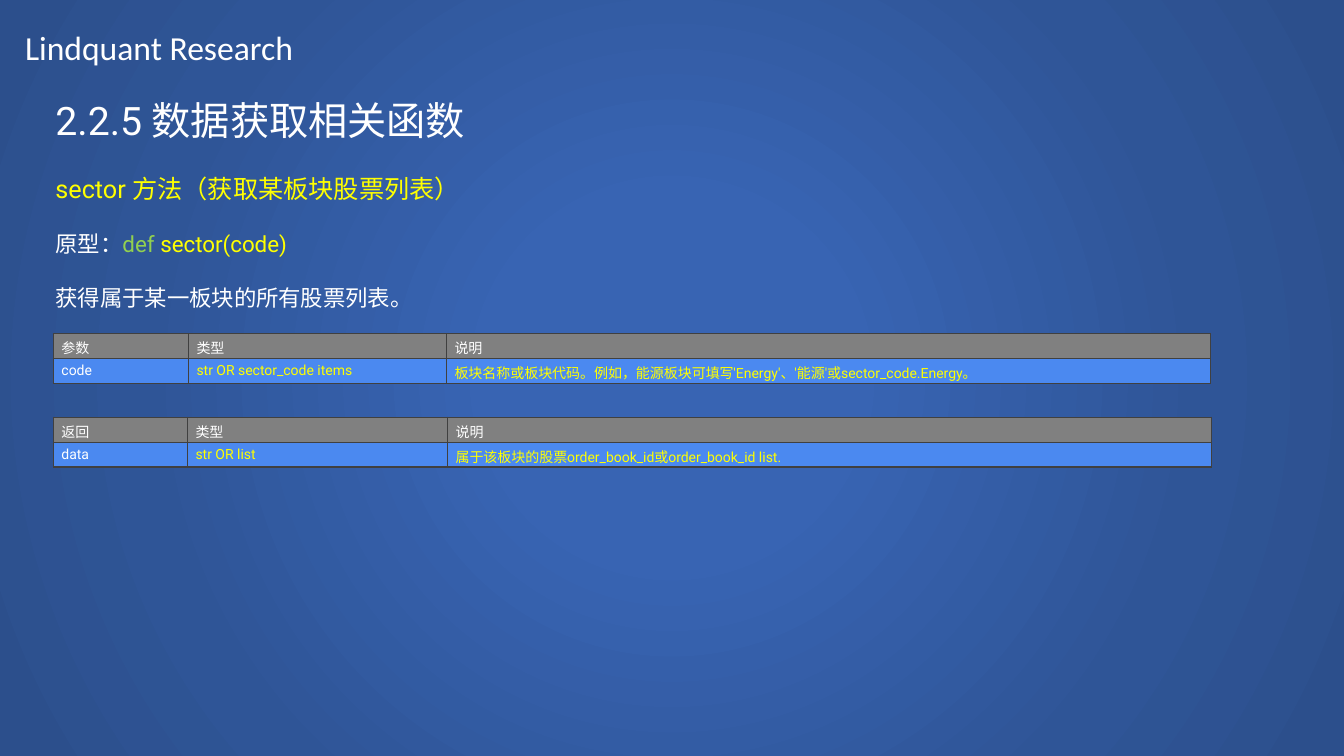
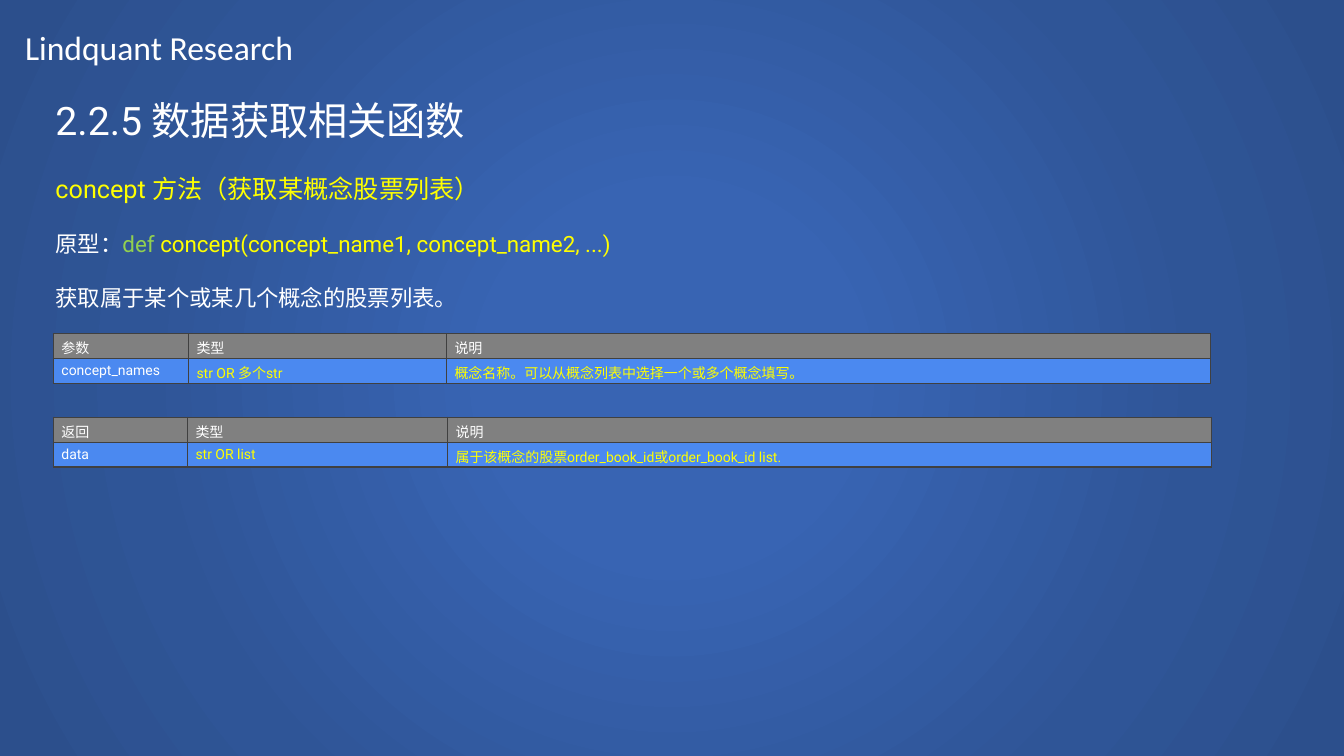
"""Build two reference slides on stock list functions, each with parameter and return tables."""
from lxml.etree import SubElement
from pptx import Presentation
from pptx.dml.color import RGBColor
from pptx.enum.text import MSO_ANCHOR as Anchor, MSO_AUTO_SIZE as AutoSize, PP_ALIGN as Align
from pptx.oxml import parse_xml
from pptx.oxml.ns import nsdecls, qn
from pptx.util import Inches, Pt

WIDTH, HEIGHT = Inches(13.33), Inches(7.5)
COLUMNS, ROWS = 40, 30
COLORS = {
    "text": "FFFFFF", "accent": "FFFF00", "keyword": "92D050",
    "header": "808080", "cell": "4B89F0", "border": "404040",
    "center": "3864B3", "middle": "2F5597", "edge": "2C4F8C",
}
GRADIENT = [(0, "center"), (23, "center"), (69, "middle"), (97, "edge")]
BRAND = "Lindquant Research"
SECTION = "2.2.5 数据获取相关函数"
ROW_HEIGHT = 0.96

TOPICS = [
    {
        "heading": "sector 方法（获取某板块股票列表）",
        "signature": "sector(code)",
        "summary": "获得属于某一板块的所有股票列表。",
        "parameter": ["code", "str OR sector_code items",
                      "板块名称或板块代码。例如，能源板块可填写'Energy'、'能源'或sector_code.Energy。"],
        "result": ["data", "str OR list", "属于该板块的股票order_book_id或order_book_id list."],
    },
    {
        "heading": "concept 方法（获取某概念股票列表）",
        "signature": "concept(concept_name1, concept_name2, ...)",
        "summary": "获取属于某个或某几个概念的股票列表。",
        "parameter": ["concept_names", "str OR 多个str",
                      "概念名称。可以从概念列表中选择一个或多个概念填写。"],
        "result": ["data", "str OR list", "属于该概念的股票order_book_id或order_book_id list."],
    },
]


def across(columns):
    return round(WIDTH * columns / COLUMNS)


def down(rows):
    return round(HEIGHT * rows / ROWS)


def color(name):
    return RGBColor.from_string(COLORS[name])


def place(box, left, top, width, height):
    box.left, box.top = across(left), down(top)
    box.width, box.height = across(width), down(height)


def add_span(para, text, size, shade="text", font="Roboto"):
    span = para.add_run()
    span.text = text
    span.font.size = Pt(size)
    span.font.name = font
    span.font.color.rgb = color(shade)


def set_background(master):
    master.background.fill.gradient()
    old = master.element.find(".//" + qn("a:gradFill"))
    stops = "".join(
        f'<a:gs pos="{share * 1000}"><a:srgbClr val="{COLORS[name]}"/></a:gs>'
        for share, name in GRADIENT)
    old.getparent().replace(old, parse_xml(
        f'<a:gradFill {nsdecls("a")} rotWithShape="1"><a:gsLst>{stops}</a:gsLst>'
        '<a:path path="circle"><a:fillToRect l="50000" t="50000" r="50000" b="50000"/>'
        '</a:path></a:gradFill>'))


def set_layout(layout):
    title, body = layout.placeholders[0], layout.placeholders[1]
    place(title, 1.35, 3.64, 35.32, 2.6)
    place(body, 1.35, 6.68, 35.32, 6.3)
    for box in (title, body):
        box.text_frame.vertical_anchor = Anchor.TOP
        box.text_frame.auto_size = AutoSize.NONE


def add_brand(page):
    box = page.shapes.add_textbox(across(0.45), down(0.88), across(15.12), down(2))
    box.text_frame.word_wrap = True
    add_span(box.text_frame.paragraphs[0], BRAND, 24, font="Calibri")


def fill_title(page):
    para = page.shapes.title.text_frame.paragraphs[0]
    para.alignment = Align.LEFT
    add_span(para, SECTION, 28)


def fill_body(page, topic):
    lines = [
        [(topic["heading"], 18, "accent")],
        [("原型：", 16, "text"), ("def ", 16, "keyword"), (topic["signature"], 16, "accent")],
        [(topic["summary"], 16, "text")],
    ]
    frame = page.placeholders[1].text_frame
    for index, spans in enumerate(lines):
        para = frame.add_paragraph() if index else frame.paragraphs[0]
        properties = para._p.get_or_add_pPr()
        properties.set("marL", "0")
        properties.set("indent", "0")
        SubElement(properties, qn("a:buNone"))
        para.space_before = Pt(19 if index else 0)
        for text, size, shade in spans:
            add_span(para, text, size, shade)


def add_borders(cell):
    properties = cell._tc.get_or_add_tcPr()
    for side in ("lnL", "lnR", "lnT", "lnB"):
        line = SubElement(properties, qn(f"a:{side}"), w=str(Pt(1)))
        SubElement(SubElement(line, qn("a:solidFill")), qn("a:srgbClr"), val=COLORS["border"])


def fill_cell(cell, text, shade, fill):
    add_borders(cell)
    cell.fill.solid()
    cell.fill.fore_color.rgb = color(fill)
    cell.vertical_anchor = Anchor.MIDDLE
    cell.margin_left = cell.margin_right = Inches(0.08)
    cell.margin_top = cell.margin_bottom = Inches(0.04)
    add_span(cell.text_frame.paragraphs[0], text, 10, shade)


def add_reference_table(page, top, widths, first_heading, values):
    rows = [[first_heading, "类型", "说明"], values]
    table = page.shapes.add_table(
        len(rows), len(widths), across(1.59), down(top),
        across(sum(widths)), down(ROW_HEIGHT * len(rows))).table
    table.first_row = table.horz_banding = False
    for column, width in zip(table.columns, widths):
        column.width = across(width)
    for row_index, texts in enumerate(rows):
        for column_index, text in enumerate(texts):
            fill_cell(table.cell(row_index, column_index), text,
                      "accent" if row_index and column_index else "text",
                      "cell" if row_index else "header")


def add_topic(deck, layout, topic):
    page = deck.slides.add_slide(layout)
    fill_title(page)
    fill_body(page, topic)
    add_brand(page)
    add_reference_table(page, 13.24, [4.02, 7.68, 22.75], "参数", topic["parameter"])
    add_reference_table(page, 16.56, [3.99, 7.74, 22.75], "返回", topic["result"])


def main():
    deck = Presentation()
    deck.slide_width, deck.slide_height = WIDTH, HEIGHT
    layout = deck.slide_layouts[1]
    set_background(deck.slide_master)
    set_layout(layout)
    for topic in TOPICS:
        add_topic(deck, layout, topic)
    deck.save("out.pptx")


if __name__ == "__main__":
    main()
